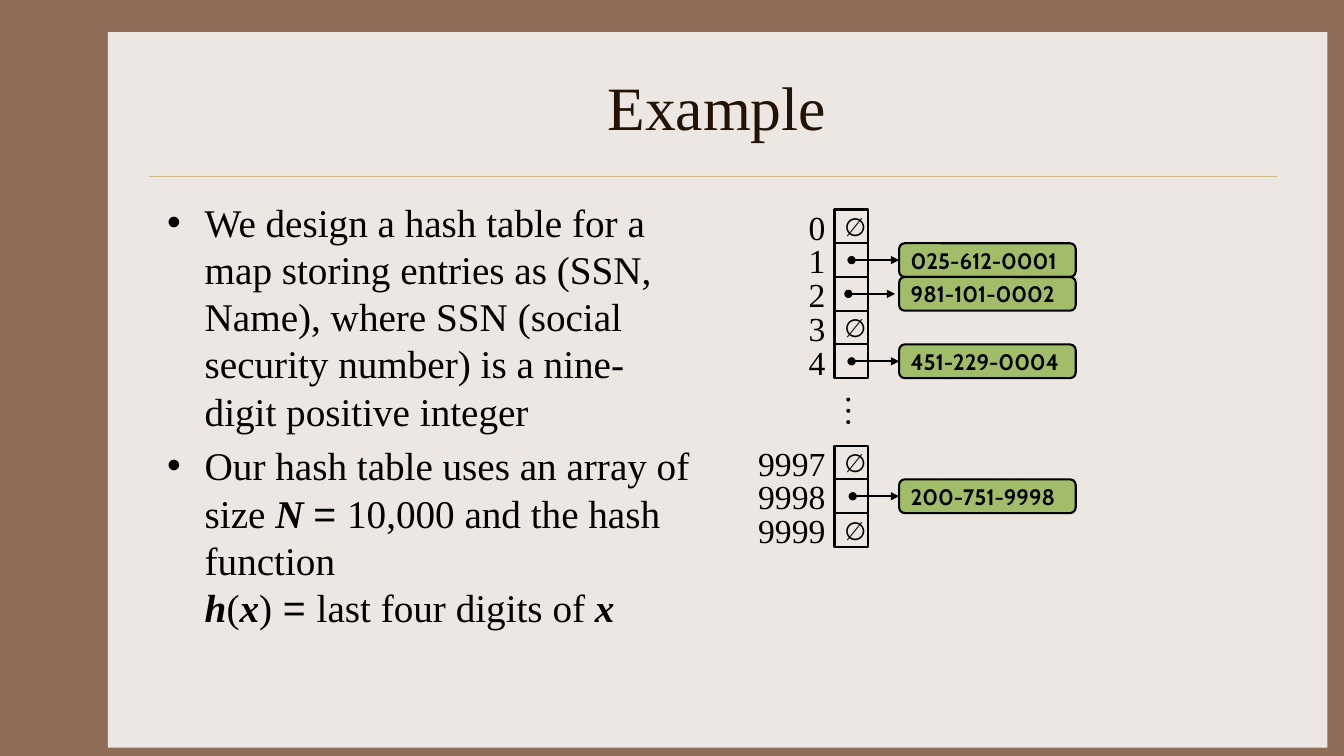
from lxml.etree import SubElement
from pptx import Presentation
from pptx.dml.color import RGBColor
from pptx.enum.shapes import MSO_CONNECTOR, MSO_SHAPE
from pptx.enum.text import MSO_ANCHOR, PP_ALIGN
from pptx.oxml.ns import qn
from pptx.util import Cm, Pt

BROWN = RGBColor(0x90, 0x6D, 0x58)
PAPER = RGBColor(0xED, 0xE7, 0xE3)
RULE = RGBColor(0xCB, 0xBD, 0x83)
TITLE = RGBColor(0x22, 0x13, 0x04)
BLACK = RGBColor(0, 0, 0)
GREEN = RGBColor(0xA1, 0xBD, 0x69)

SERIF, SANS, LABEL = "Times New Roman", "Arial", "Cabin"
STRONG = {"bold": True, "italic": True}
BODY = {"name": SERIF, "size": Pt(28)}
INDEX = {"name": SERIF, "size": Pt(24)}
EMPTY = {"name": LABEL, "size": Pt(18)}
ENTRY = {"name": LABEL, "size": Pt(16), "bold": True}

ROW_TOP, ROW_HEIGHT = 5.28, 0.85
CELL_LEFT, ENTRY_LEFT, ENTRY_WIDTH = 21.03, 22.66, 4.45
# grid row: (index, entry, arrow start, arrow end)
BUCKETS = {
    0: ("0", None, 0, 0),
    1: ("1", "025-612-0001", 21.46, 22.66),
    2: ("2", "981-101-0002", 21.38, 22.56),
    3: ("3", None, 0, 0),
    4: ("4", "451-229-0004", 21.46, 22.66),
    7: ("9997", None, 0, 0),
    8: ("9998", "200-751-9998", 21.49, 22.66),
    9: ("9999", None, 0, 0),
}
BULLETS = [
    [("We design a hash table for a map storing entries as (SSN, Name), "
      "where SSN (social security number) is a nine-digit positive integer", {})],
    [("Our hash table uses an array of size ", {}), ("N ", STRONG),
     ("= ", {"name": SANS}), ("10,000 and the hash function", {}), ("\n", {}),
     ("h", STRONG), ("(", {}), ("x", STRONG), (")", {}), (" = ", {"name": SANS}),
     ("last four digits of ", {}), ("x", STRONG)],
]


def apply_format(target, values):
    """Set each named attribute on the target."""
    for name, value in values.items():
        setattr(target, name, value)


class SlideBuilder:
    """Holds the current slide and draws styled elements on it."""

    def __init__(self, slide, background):
        """Keep the slide and colour its background."""
        self.slide = slide
        slide.background.fill.solid()
        slide.background.fill.fore_color.rgb = background

    def styled_run(self, paragraph, text, style, color=BLACK):
        """Add one run in the given font style."""
        run = paragraph.add_run()
        run.text = text
        apply_format(run.font, style)
        run.font.color.rgb = color

    def box(self, kind, left, top, width, height, fill=None, outlined=True):
        """Draw a preset shape, filled or hollow."""
        shape = self.slide.shapes.add_shape(
            kind, Cm(left), Cm(top), Cm(width), Cm(height))
        shape.shadow.inherit = False
        if fill is None:
            shape.fill.background()
        else:
            shape.fill.solid()
            shape.fill.fore_color.rgb = fill
        if outlined:
            shape.line.color.rgb = BLACK
            shape.line.width = Pt(1.5)
        else:
            shape.line.fill.background()
        return shape

    def caption(self, shape, text, style):
        """Put left-aligned text inside a shape."""
        apply_format(shape.text_frame,
                     {"word_wrap": False, "vertical_anchor": MSO_ANCHOR.MIDDLE})
        paragraph = shape.text_frame.paragraphs[0]
        paragraph.alignment = PP_ALIGN.LEFT
        self.styled_run(paragraph, text, style)

    def textbox(self, left, top, width, height, anchor=MSO_ANCHOR.TOP):
        """Add an empty wrapping text box."""
        box = self.slide.shapes.add_textbox(
            Cm(left), Cm(top), Cm(width), Cm(height))
        apply_format(box.text_frame, {"word_wrap": True, "vertical_anchor": anchor})
        return box

    def label(self, text, area, style, align, color=BLACK, anchor=MSO_ANCHOR.TOP):
        """Add a text box with a single line of text."""
        box = self.textbox(*area, anchor=anchor)
        paragraph = box.text_frame.paragraphs[0]
        paragraph.alignment = align
        self.styled_run(paragraph, text, style, color)
        return box

    def bullets(self, items, area):
        """Add a bulleted list whose items are lists of (text, style) runs."""
        frame = self.textbox(*area).text_frame
        for number, runs in enumerate(items):
            paragraph = frame.add_paragraph() if number else frame.paragraphs[0]
            paragraph.space_before = Pt(5.6)
            properties = paragraph._p.get_or_add_pPr()
            properties.set("marL", str(Cm(0.95)))
            properties.set("indent", str(Cm(-0.95)))
            SubElement(properties, qn("a:buFont"), typeface=SANS)
            SubElement(properties, qn("a:buChar"), char="•")
            for text, style in runs:
                if text == "\n":
                    paragraph.add_line_break()
                else:
                    self.styled_run(paragraph, text, {**BODY, **style})

    def line(self, start, end, y, color, width, arrow=False):
        """Draw a horizontal line, optionally from a dot to an arrowhead."""
        connector = self.slide.shapes.add_connector(
            MSO_CONNECTOR.STRAIGHT, Cm(start), Cm(y), Cm(end), Cm(y))
        connector.line.color.rgb = color
        connector.line.width = Pt(width)
        if arrow:
            outline = connector.line._get_or_add_ln()
            SubElement(outline, qn("a:headEnd"), type="oval")
            SubElement(outline, qn("a:tailEnd"), type="triangle")
        SubElement(connector._element.spPr, qn("a:effectLst"))

    def bucket(self, row, index, entry, start, end):
        """Draw one array cell with its index and its entry, if any."""
        top = ROW_TOP + row * ROW_HEIGHT
        cell = self.box(MSO_SHAPE.RECTANGLE, CELL_LEFT, top, ROW_HEIGHT, ROW_HEIGHT)
        self.label(index, (18.55, top - 0.2, 2.5, 1.27), INDEX, PP_ALIGN.RIGHT)
        if entry is None:
            self.caption(cell, "∅", EMPTY)
            return
        card = self.box(MSO_SHAPE.ROUNDED_RECTANGLE, ENTRY_LEFT, top,
                        ENTRY_WIDTH, ROW_HEIGHT, GREEN)
        self.caption(card, entry, ENTRY)
        self.line(start, end, top + ROW_HEIGHT / 2, BLACK, 1.5, arrow=True)


def main():
    """Build the hash table example slide and save it."""
    presentation = Presentation()
    apply_format(presentation, {"slide_width": Cm(33.87), "slide_height": Cm(19.05)})
    slide = presentation.slides.add_slide(presentation.slide_layouts[6])
    builder = SlideBuilder(slide, BROWN)
    builder.box(MSO_SHAPE.RECTANGLE, 2.72, 0.81, 30.73, 18.03, PAPER, outlined=False)
    builder.line(3.76, 32.18, 4.45, RULE, 0.25)
    builder.label("Example", (3.96, 1.07, 28.22, 3.18),
                  {"name": SERIF, "size": Pt(44)}, PP_ALIGN.CENTER, TITLE,
                  MSO_ANCHOR.MIDDLE)
    builder.bullets(BULLETS, (3.96, 4.88, 13.82, 11.43))
    for row, bucket in BUCKETS.items():
        builder.bucket(row, *bucket)
    ellipsis = builder.label("…", (21, 9.74, 1.35, 1.27), INDEX, PP_ALIGN.LEFT)
    ellipsis.rotation = 90
    presentation.save("out.pptx")


main()
